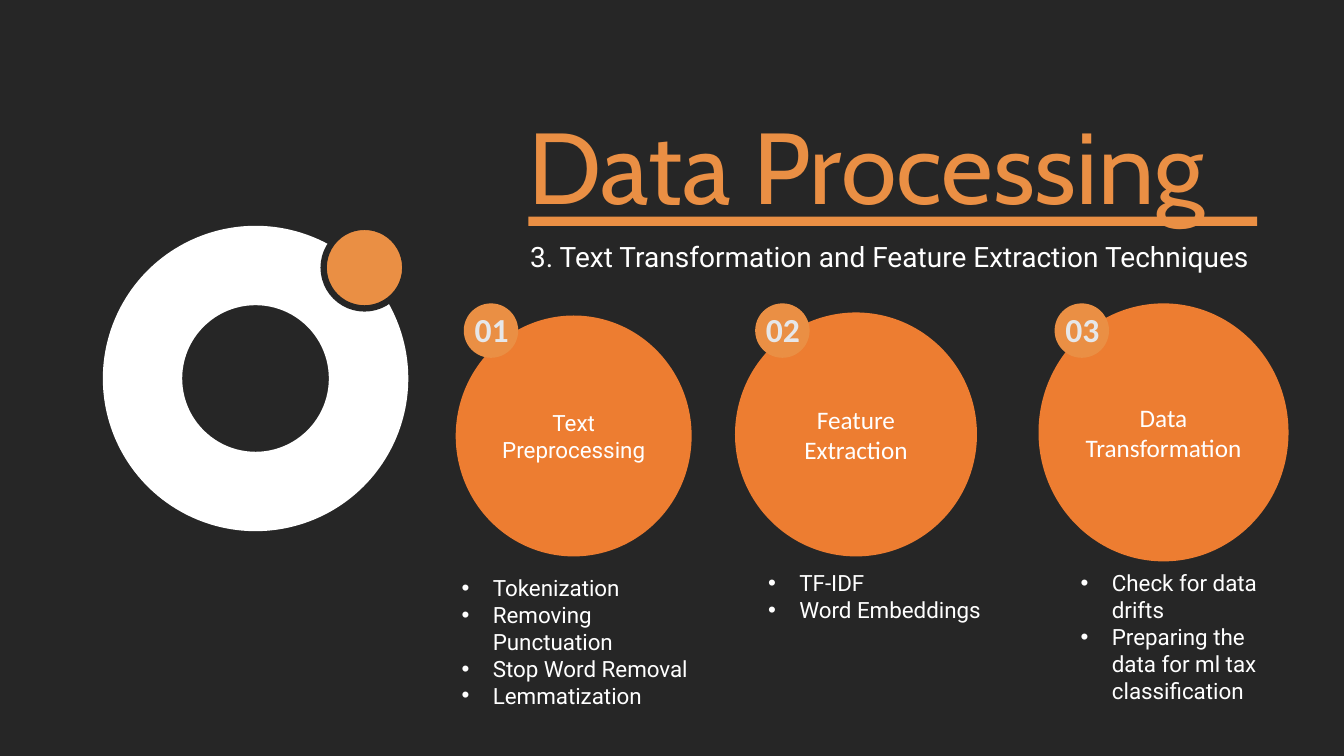
import pptx
import pptx.util
import pptx.dml.color
import pptx.enum.shapes
import pptx.enum.text
from lxml import etree

PX = 9144  # 100 px to the inch
ORANGE, DEEP, WHITE, DARK, PALE = "EA8F44", "ED7D31", "FFFFFF", "262626", "E6E7E9"
SHAPE = pptx.enum.shapes.MSO_SHAPE
CENTER = pptx.enum.text.PP_ALIGN.CENTER
MIDDLE = pptx.enum.text.MSO_ANCHOR.MIDDLE


def color(text):
    return pptx.dml.color.RGBColor.from_string(text)


def scale(*box):
    return [side * PX for side in box]


def style(frame, size, font, tint, bold=False, align=None):
    for para in frame.paragraphs:
        para.alignment = align
        for run in para.runs:
            run.font.size = pptx.util.Pt(size)
            run.font.name = font
            run.font.bold = bold
            run.font.color.rgb = color(tint)


def shape(slide, kind, box, fill):
    part = slide.shapes.add_shape(kind, *scale(*box))
    part.shadow.inherit = False
    part.fill.solid()
    part.fill.fore_color.rgb = color(fill)
    part.line.fill.background()
    return part


def label(slide, box, text, *look, **more):
    frame = slide.shapes.add_textbox(*scale(*box)).text_frame
    frame.word_wrap = True
    frame.text = text
    style(frame, *look, **more)
    return frame


def bullet(para):
    para.level = 1
    props = para._p.get_or_add_pPr()
    props.set("marL", str(81 * PX))
    props.set("indent", str(-31 * PX))
    space = pptx.oxml.ns.qn
    etree.SubElement(props, space("a:buFont")).set("typeface", "Arial")
    etree.SubElement(props, space("a:buChar")).set("char", "•")


def emblem(slide, x, y, size):
    # White ring with an orange dot on its upper right edge
    ring = shape(slide, SHAPE.DONUT, (x, y, size, size), WHITE)
    ring.adjustments[0] = 0.26
    dot = shape(slide, SHAPE.OVAL, (x + 219, y + 1, 81, 81), ORANGE)
    dot.line.color.rgb = color(DARK)
    dot.line.width = pptx.util.Pt(4.5)


def header(slide, x, y, width):
    # Title, rule and subtitle
    label(slide, (x, y, width, 131), "Data Processing", 72, "Cabin", ORANGE)
    shape(slide, SHAPE.RECTANGLE, (x + 10, y + 117, width - 15, 9), ORANGE)
    label(slide, (x + 2, y + 135, width + 1, 44),
          "3. Text Transformation and Feature Extraction Techniques",
          20, "Roboto", WHITE)


def stage(slide, disc, badge, notes, number, name, size, font, items):
    # Large disc with the name of the stage
    circle = shape(slide, SHAPE.OVAL, disc, DEEP)
    frame = circle.text_frame
    frame.word_wrap = True
    frame.vertical_anchor = MIDDLE
    frame.text = name
    style(frame, size, font, WHITE, align=CENTER)

    # Numbered badge
    x, y = badge
    shape(slide, SHAPE.OVAL, (x, y, 54, 54), ORANGE)
    label(slide, (x - 7, y + 1, 69, 48), number, 24, "Calibri", PALE,
          bold=True, align=CENTER)

    # Bulleted details
    frame = label(slide, notes, "\n".join(items), 16, "Roboto", WHITE)
    for para in frame.paragraphs:
        bullet(para)


STAGES = [
    ((452, 313, 234, 239), (460, 301), (398, 565, 322, 150),
     "01", "Text Preprocessing", 16, "Roboto",
     ["Tokenization", "Removing Punctuation", "Stop Word Removal", "Lemmatization"]),
    ((729, 310, 240, 242), (749, 301), (702, 560, 322, 70),
     "02", "Feature Extraction", 18, "Calibri",
     ["TF-IDF", "Word Embeddings"]),
    ((1030, 301, 248, 256), (1046, 301), (1012, 560, 266, 150),
     "03", "Data Transformation", 18, "Calibri",
     ["Check for data drifts", "Preparing the data for ml tax classification"]),
]


def main():
    deck = pptx.Presentation()
    deck.slide_width, deck.slide_height = scale(1333, 750)
    slide = deck.slides.add_slide(deck.slide_layouts[6])
    slide.background.fill.solid()
    slide.background.fill.fore_color.rgb = color(DARK)
    emblem(slide, 102, 224, 303)
    header(slide, 514, 98, 738)
    for row in STAGES:
        stage(slide, *row)
    deck.save("out.pptx")


if __name__ == "__main__":
    main()
